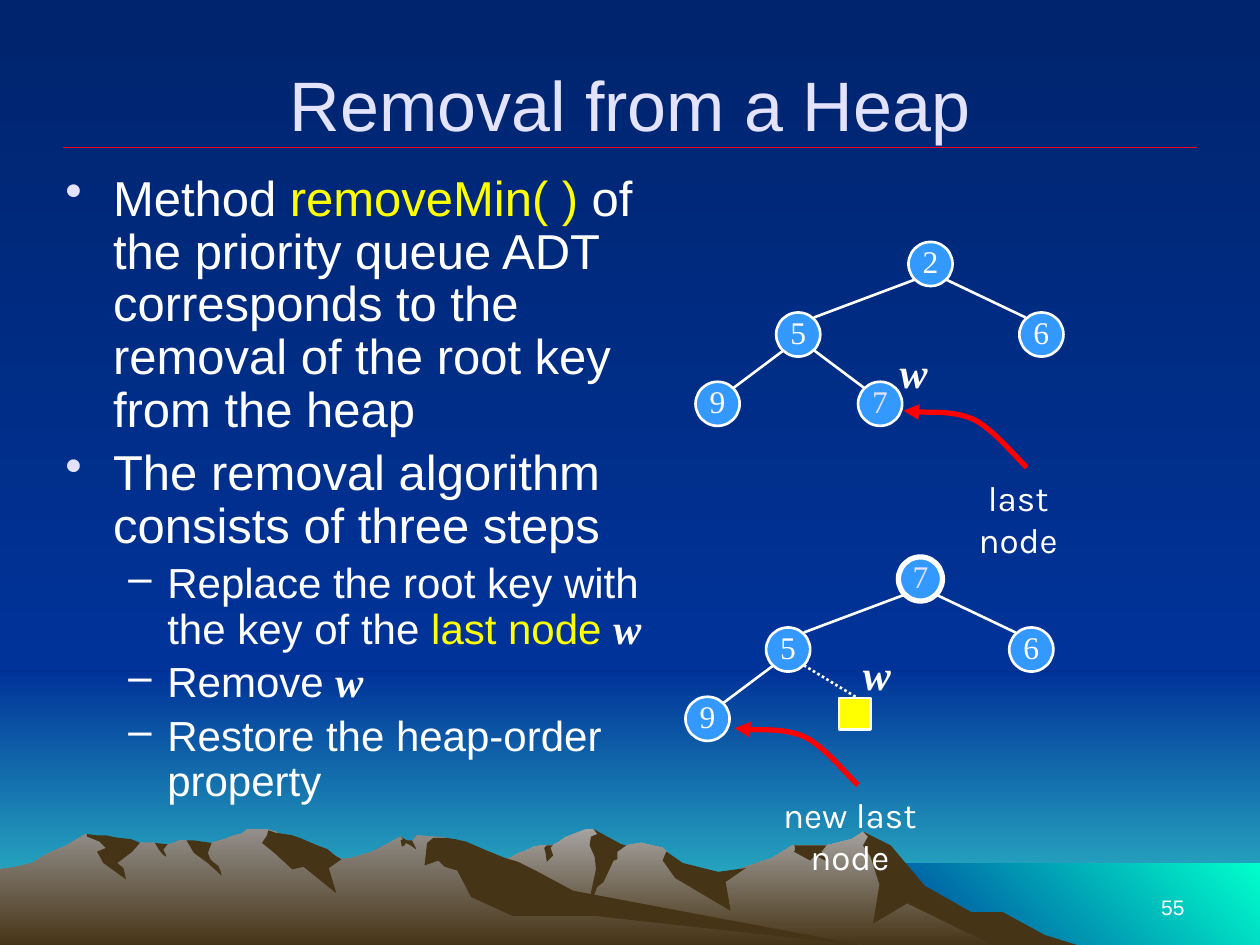
from lxml import etree
from pptx import Presentation
from pptx import util as u
from pptx.dml.color import RGBColor
from pptx.enum import dml, shapes, text
from pptx.oxml import ns

WHITE = RGBColor(0xFF, 0xFF, 0xFF)
LAVENDER = RGBColor(0xE3, 0xE3, 0xFF)
YELLOW = RGBColor(0xFF, 0xFF, 0x00)
RED = RGBColor(0xFF, 0x00, 0x00)
CRIMSON = RGBColor(0xEF, 0x01, 0x29)
NODE_BLUE = RGBColor(0x33, 0x99, 0xFF)
NIGHT = RGBColor(0x00, 0x24, 0x6D)
ROYAL = RGBColor(0x00, 0x33, 0x99)
TEAL = RGBColor(0x33, 0xCC, 0xCC)
AQUA = RGBColor(0x00, 0xFF, 0xCC)
EARTH = RGBColor(0x46, 0x34, 0x16)
FAR_ROCK = RGBColor(0xA5, 0xA2, 0x9F)
NEAR_ROCK = RGBColor(0x93, 0x8F, 0x8B)

SANS, SERIF, LABEL = "Arial", "Times New Roman", "Karla"
LEFT, CENTER, RIGHT = text.PP_ALIGN.LEFT, text.PP_ALIGN.CENTER, text.PP_ALIGN.RIGHT
TOP, MIDDLE, BOTTOM = text.MSO_ANCHOR.TOP, text.MSO_ANCHOR.MIDDLE, text.MSO_ANCHOR.BOTTOM
NODE = 0.35
LOWER_TREE = (-0.08, 2.5)
LOWER_ARROW = (-1.34, 2.52)

FAR_RIDGE = """8.02 7.4, 7.78 7.27, 7.64 7.23, 7.23 6.98, 7.02 6.71, 6.85 6.6, 6.76 6.66, 6.56 6.71, 6.29 6.71,
6.13 6.81, 5.66 6.97, 5.36 6.9, 5.29 6.76, 5.26 6.73, 5.09 6.69, 4.97 6.71, 4.86 6.73, 4.74 6.61, 4.71 6.58,
4.65 6.58, 4.5 6.64, 4.48 6.65, 4.44 6.68, 4.38 6.71, 4.3 6.71, 4.24 6.72, 4.18 6.75, 4.12 6.77, 4.05 6.81,
3.99 6.83, 3.94 6.85, 3.55 6.98, 3.27 7.09, 2.77 7.39, 2.58 7.51, 8.21 7.51"""
FAR_SHADOWS = [
    """7.96 7.24, 7.71 7.24, 7.34 7.03, 7.07 6.71, 6.85 6.6, 6.89 6.64, 6.85 6.71, 6.91 6.8, 6.98 7.02,
    6.93 7.33, 7.2 7.17, 7.92 7.52, 8.58 7.51, 8.29 7.42""",
    """4.71 6.58, 4.74 6.62, 4.69 6.64, 4.68 6.71, 4.72 6.8, 4.73 6.9, 4.65 7.27, 4.74 7.04, 4.79 7,
    4.87 6.83, 4.9 6.82, 4.9 6.76, 4.97 6.71, 4.93 6.7""",
    """5.29 6.76, 5.28 6.78, 5.26 6.83, 5.36 6.97, 5.8 7.23, 5.76 7, 5.92 6.89, 5.7 6.92, 5.42 6.85""",
    """6.5 6.71, 6.3 6.71, 6.31 6.72, 6.31 6.75, 6.3 6.76, 6.43 6.83, 6.47 6.79, 6.57 6.84, 6.52 6.76,
    6.56 6.71""",
    """4.33 6.77, 4.32 6.73, 4.34 6.71, 4.38 6.71, 4.39 6.7, 4.37 6.73, 4.39 6.79, 4.34 6.84""",
]
NEAR_RIDGE = """6.9 7.51, 6.67 7.48, 4.32 7.12, 3.54 6.65, 3.31 6.63, 3.27 6.68, 3.23 6.68, 3.18 6.64, 2.96 6.76,
2.79 6.81, 2.71 6.82, 2.6 6.76, 2.36 6.81, 2.23 6.63, 2.19 6.6, 2.12 6.58, 1.96 6.58, 1.94 6.6, 1.91 6.62,
1.86 6.63, 1.78 6.66, 1.68 6.69, 1.6 6.71, 1.48 6.67, 1.43 6.67, 1.32 6.71, 1.28 6.71, 1.23 6.69, 1.11 6.69,
0.94 6.71, 0.68 6.62, 0.56 6.69, 0.53 6.71, 0.46 6.74, 0.35 6.79, 0.26 6.85, 0.14 6.88, 0 6.9, 0 7.51"""
NEAR_SHADOWS = [
    """2.12 6.63, 2.08 6.69, 2.19 6.78, 2.32 6.9, 2.41 6.88, 2.67 7.09, 2.61 6.89, 2.71 6.82, 2.66 6.79,
    2.6 6.74, 2.52 6.71, 2.45 6.68, 2.38 6.65, 2.32 6.63, 2.26 6.62, 2.19 6.61, 2.13 6.59""",
    """3.7 6.68, 3.61 6.66, 3.54 6.65, 3.44 6.65, 3.39 6.69, 3.37 6.87, 3.48 6.83, 3.53 6.88, 3.63 6.91,
    3.74 7.12, 4.07 7.27, 4.72 7.27, 6.9 7.51, 6.83 7.5, 4.55 7.07, 4.27 6.92, 4.11 6.84, 4.01 6.81, 3.86 6.75""",
    """3.18 6.67, 3.2 6.66, 3.18 6.64, 3.23 6.67, 3.27 6.67, 3.28 6.69, 3.3 6.73, 3.3 6.74, 3.26 6.71,
    3.22 6.69, 3.21 6.71, 3.19 6.72""",
    """1.54 6.67, 1.61 6.68, 1.68 6.69, 1.65 6.77, 1.67 6.82, 1.69 6.84, 1.73 6.87, 1.75 6.91, 1.76 6.95,
    1.65 6.85, 1.54 6.77, 1.48 6.67""",
    """1.33 6.7, 1.3 6.74, 1.3 6.75, 1.32 6.79, 1.32 6.8, 1.29 6.78, 1.26 6.74, 1.23 6.69""",
    """1.09 6.68, 1.11 6.69, 1.05 6.76, 0.93 6.85, 0.98 6.89, 1 6.98, 0.82 6.85, 0.77 6.76, 0.84 6.73,
    0.79 6.68, 0.69 6.64, 0.69 6.62, 0.77 6.63, 0.84 6.63, 0.94 6.65, 1.04 6.66""",
]
ARROW_CURVE = "8.15 3.71, 8.08 3.65, 7.89 3.41, 7.73 3.33, 7.57 3.26, 7.28 3.28, 7.17 3.26"

BODY = [
    (0, [("Method ", WHITE), ("removeMin( ) ", YELLOW),
         ("of the priority queue ADT corresponds to the removal of the root key from the heap", WHITE)]),
    (0, [("The removal algorithm consists of three steps", WHITE)]),
    (1, [("Replace the root key with the key of the ", WHITE), ("last node ", YELLOW), ("w", None)]),
    (1, [("Remove ", WHITE), ("w", None)]),
    (1, [("Restore the heap-order property", WHITE)]),
]
LEVELS = [
    {"size": 28, "margin": 0.38, "indent": -0.38, "bullet": "•", "color": LAVENDER},
    {"size": 24, "margin": 0.81, "indent": -0.31, "bullet": "–", "color": WHITE},
]


def set_values(target, values):
    for name, value in values.items():
        setattr(target, name, value)


def add_run(paragraph, wording, size, color, name=SANS, **style):
    run = paragraph.add_run()
    run.text = wording
    set_values(run.font, {"size": u.Pt(size), "name": name, **style})
    run.font.color.rgb = color


def fill_gradient(fill, start, end, angle=270):
    fill.gradient()
    fill.gradient_angle = angle
    for stop, color in zip(fill.gradient_stops, (start, end)):
        stop.color.rgb = color


def fill_solid(fill, color):
    fill.solid()
    fill.fore_color.rgb = color


def add_preset(slide, kind, left, top, width, height):
    shape = slide.shapes.add_shape(kind, *map(u.Inches, (left, top, width, height)))
    shape.shadow.inherit = False
    return shape


def add_band(slide, left, top, width, height, colors, angle=270):
    shape = add_preset(slide, shapes.MSO_SHAPE.RECTANGLE, left, top, width, height)
    fill_gradient(shape.fill, *colors, angle)
    shape.line.fill.background()


def add_outline(slide, outline, close=True, shift=(0, 0)):
    points = [tuple(u.Inches(float(value) + move) for value, move in zip(pair.split(), shift))
              for pair in outline.split(",")]
    builder = slide.shapes.build_freeform(*points[0])
    builder.add_line_segments(points[1:], close=close)
    shape = builder.convert_to_shape()
    shape.shadow.inherit = False
    return shape


def add_mountain(slide, ridge, light, shadows):
    shape = add_outline(slide, ridge)
    fill_gradient(shape.fill, light, EARTH)
    shape.line.fill.background()
    for shadow in shadows:
        shape = add_outline(slide, shadow)
        fill_solid(shape.fill, EARTH)
        shape.line.fill.background()


def add_curved_arrow(slide, shift=(0, 0)):
    shape = add_outline(slide, ARROW_CURVE, close=False, shift=shift)
    shape.fill.background()
    shape.line.color.rgb = RED
    shape.line.width = u.Pt(3)
    path = shape.element.find(".//" + ns.qn("a:path"))
    segments = path.findall(ns.qn("a:lnTo"))
    for first in range(0, len(segments), 3):
        curve = etree.SubElement(path, ns.qn("a:cubicBezTo"))
        for segment in segments[first:first + 3]:
            curve.append(segment[0])
            path.remove(segment)
    etree.SubElement(shape.line._get_or_add_ln(), ns.qn("a:tailEnd"), type="triangle")


def add_line(slide, start, end, color=WHITE, width=1.5, dash=None):
    connector = slide.shapes.add_connector(shapes.MSO_CONNECTOR.STRAIGHT, *map(u.Inches, (*start, *end)))
    connector.line.color.rgb = color
    set_values(connector.line, {"width": u.Pt(width), "dash_style": dash})
    etree.SubElement(connector.element.spPr, ns.qn("a:effectLst"))


def add_node(slide, key, left, top, color=WHITE, width=1.5):
    shape = add_preset(slide, shapes.MSO_SHAPE.OVAL, left, top, NODE, NODE)
    fill_solid(shape.fill, NODE_BLUE)
    shape.line.color.rgb = WHITE
    shape.line.width = u.Pt(width)
    set_values(shape.text_frame, {"margin_left": 0, "margin_right": 0, "margin_top": 0,
                                  "margin_bottom": u.Inches(0.05), "word_wrap": False,
                                  "vertical_anchor": MIDDLE})
    paragraph = shape.text_frame.paragraphs[0]
    paragraph.alignment = CENTER
    add_run(paragraph, key, 18, color, SERIF)


def add_tree(slide, root, shift=(0, 0), root_format=None):
    across, down = shift
    add_node(slide, root, 7.21 + across, 1.92 + down, **(root_format or {}))
    for key, left, top in (("6", 8.09, 2.48), ("5", 6.16, 2.48), ("9", 5.52, 3.03)):
        add_node(slide, key, left + across, top + down)
    for x1, y1, x2, y2 in ((7.26, 2.22, 6.46, 2.52), (8.14, 2.52, 7.51, 2.22), (5.82, 3.08, 6.22, 2.78)):
        add_line(slide, (x1 + across, y1 + down), (x2 + across, y2 + down))


def add_text_frame(slide, left, top, width, height, anchor=TOP, **values):
    box = slide.shapes.add_textbox(*map(u.Inches, (left, top, width, height)))
    set_values(box.text_frame, {"word_wrap": True, "vertical_anchor": anchor, **values})
    return box.text_frame


def add_label(slide, wording, bounds, size, color, name=SANS, align=CENTER, anchor=TOP, frame=None, **style):
    paragraph = add_text_frame(slide, *bounds, anchor, **(frame or {})).paragraphs[0]
    paragraph.alignment = align
    add_run(paragraph, wording, size, color, name, **style)


def add_body(slide):
    frame = add_text_frame(slide, 0.42, 1.33, 5, 5.42)
    for index, (depth, runs) in enumerate(BODY):
        level = LEVELS[depth]
        paragraph = frame.add_paragraph() if index else frame.paragraphs[0]
        properties = paragraph._p.get_or_add_pPr()
        properties.set("marL", str(u.Inches(level["margin"])))
        properties.set("indent", str(u.Inches(level["indent"])))
        tint = etree.SubElement(properties, ns.qn("a:buClr"))
        etree.SubElement(tint, ns.qn("a:srgbClr"), val=str(level["color"]))
        etree.SubElement(properties, ns.qn("a:buChar"), char=level["bullet"])
        set_values(paragraph, {"level": depth, "alignment": LEFT, "line_spacing": 0.9,
                               "space_before": u.Pt(level["size"] * 0.2 if index else 0)})
        for wording, color in runs:
            style = {} if color else {"name": SERIF, "bold": True, "italic": True}
            add_run(paragraph, wording, level["size"], color or WHITE, **style)


def add_scenery(slide):
    fill_gradient(slide.background.fill, NIGHT, ROYAL)
    add_band(slide, 0, 5.33, 10, 2.17, (ROYAL, TEAL))
    add_band(slide, 0, 0, 10, 5.33, (NIGHT, ROYAL))
    add_band(slide, 6.83, 6.85, 3.17, 0.65, (ROYAL, AQUA), 45)
    add_mountain(slide, FAR_RIDGE, FAR_ROCK, FAR_SHADOWS)
    add_mountain(slide, NEAR_RIDGE, NEAR_ROCK, NEAR_SHADOWS)
    add_line(slide, (0.5, 1.17), (9.5, 1.17), CRIMSON, 0.75)


def main():
    presentation = Presentation()
    set_values(presentation, {"slide_width": u.Inches(10), "slide_height": u.Inches(7.5)})
    slide = presentation.slides.add_slide(presentation.slide_layouts[6])
    add_scenery(slide)
    add_label(slide, "55", (7.17, 6.83, 2.33, 0.52), 12, WHITE, align=RIGHT, anchor=BOTTOM)
    add_label(slide, "Removal from a Heap", (0.5, 0.3, 9, 1.05), 40, LAVENDER, anchor=MIDDLE)
    add_body(slide)

    add_tree(slide, "2")
    add_node(slide, "7", 6.81, 3.03, LAVENDER)
    add_line(slide, (6.86, 3.08), (6.46, 2.78))
    add_curved_arrow(slide)

    add_tree(slide, "7", LOWER_TREE, {"color": LAVENDER, "width": 3})
    add_line(slide, (6.79, 5.53), (6.38, 5.28), dash=dml.MSO_LINE.ROUND_DOT)
    removed = add_preset(slide, shapes.MSO_SHAPE.RECTANGLE, 6.66, 5.54, 0.25, 0.25)
    fill_solid(removed.fill, YELLOW)
    removed.line.color.rgb = WHITE
    removed.line.width = u.Pt(1.5)
    add_curved_arrow(slide, LOWER_ARROW)

    for left, top in ((7.04, 2.7), (6.75, 5.1)):
        add_label(slide, "w", (left, top, 0.42, 0.5), 24, WHITE, SERIF, bold=True, italic=True)
    narrow = {"margin_left": u.Inches(0.25), "margin_right": u.Inches(0.25)}
    for wording, bounds in (("last node", (7.42, 3.73, 1.32, 0.43)), ("new last node", (5.79, 6.25, 1.91, 0.43))):
        add_label(slide, wording, bounds, 20, WHITE, LABEL, frame=narrow)
    presentation.save("out.pptx")


if __name__ == "__main__":
    main()
